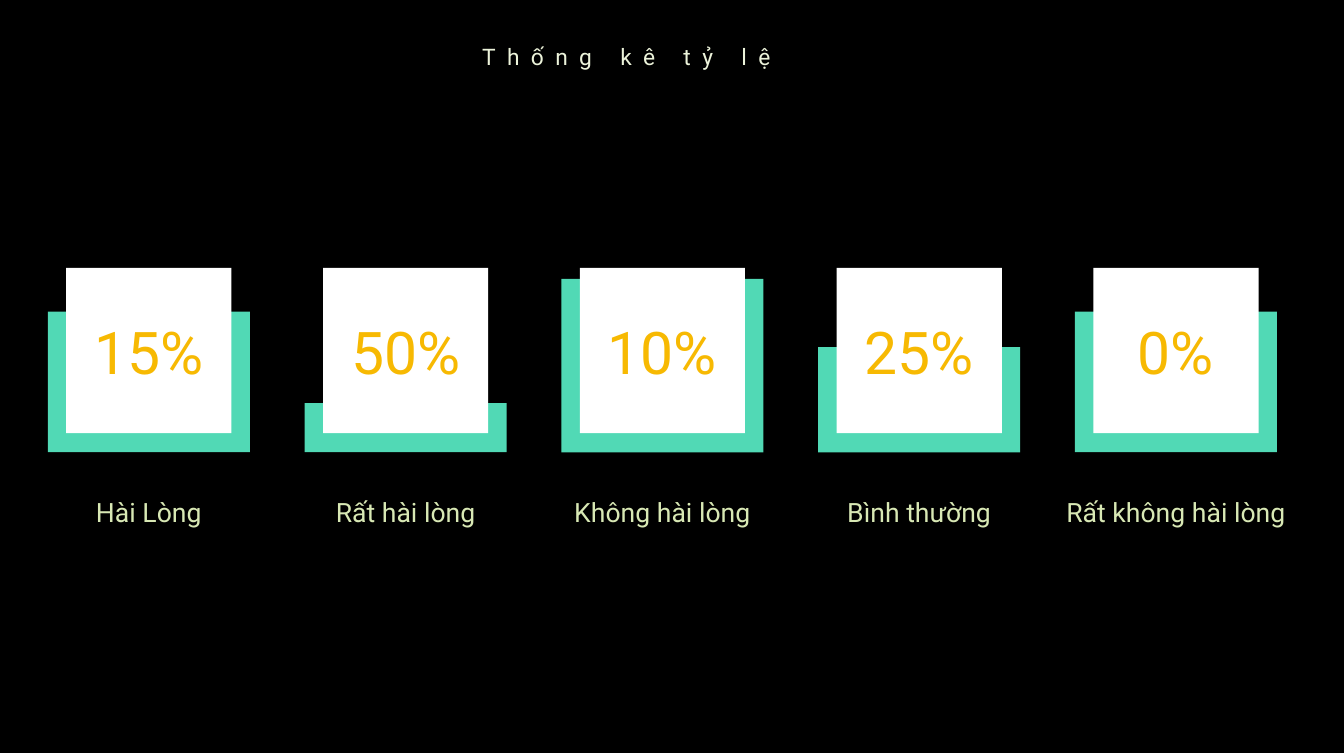
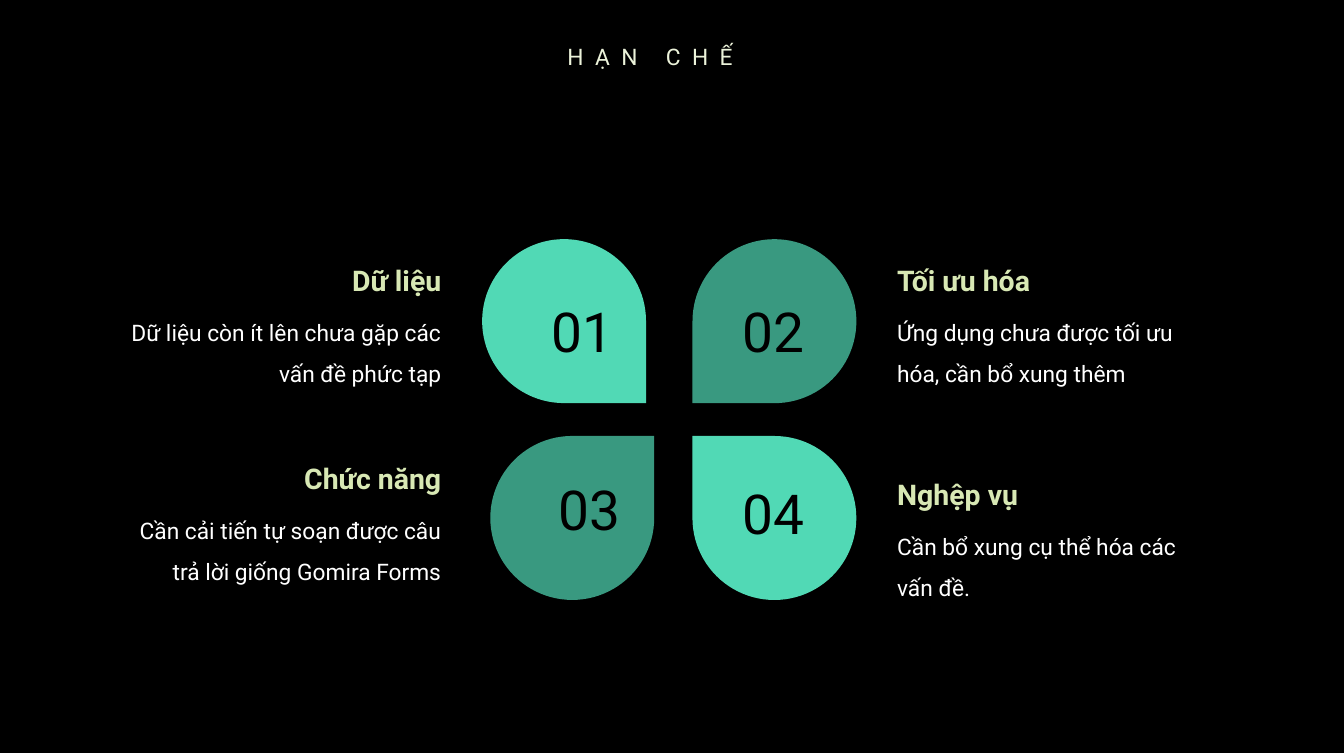
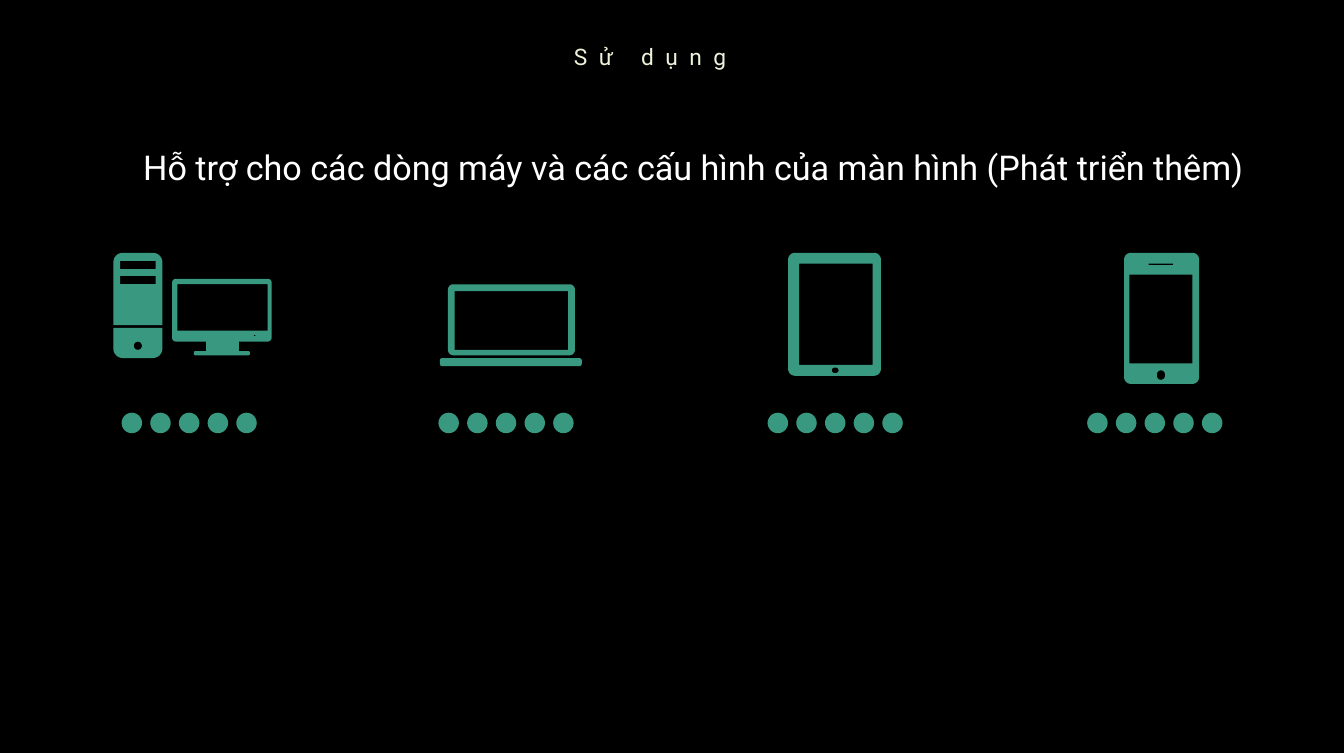
"""Builds three dark survey slides: ratios, limitations and supported devices."""
import math

from pptx import Presentation
from pptx.dml.color import RGBColor
from pptx.enum.shapes import MSO_SHAPE
from pptx.enum.text import MSO_ANCHOR, MSO_AUTO_SIZE, PP_ALIGN
from pptx.util import Inches, Pt

LEFT, CENTER, RIGHT = PP_ALIGN.LEFT, PP_ALIGN.CENTER, PP_ALIGN.RIGHT
TOP, NO_AUTOFIT = MSO_ANCHOR.TOP, MSO_AUTO_SIZE.NONE
RECTANGLE, OVAL, TEARDROP = MSO_SHAPE.RECTANGLE, MSO_SHAPE.OVAL, MSO_SHAPE.TEAR

FONT = "Roboto"
COLORS = {
    "background": "000000",
    "mint": "51D9B5",
    "green": "399980",
    "white": "FFFFFF",
    "amber": "F7B902",
    "lime": "D8E8B4",
    "title": "ECF3DA",
}
TITLE_BOX = (3.58, 0.16, 2.36, 0.37)
TITLE_ONLY = 5

RATINGS = [
    ("15%", "Hài Lòng", 1.03),
    ("50%", "Rất hài lòng", 0.36),
    ("10%", "Không hài lòng", 1.27),
    ("25%", "Bình thường", 0.77),
    ("0%", "Rất không hài lòng", 1.03),
]
CARD_LEFT, CARD_PITCH, CARD_WIDTH, CARD_BOTTOM = 0.35, 1.88, 1.48, 3.31
SQUARE = 1.21

PETAL = 1.2
PETALS = [
    ("01", "mint", 3.53, 1.75, 90, 3.94, 2.13),
    ("02", "green", 5.07, 1.75, 180, 5.34, 2.13),
    ("03", "green", 3.59, 3.19, 0, 3.99, 3.43),
    ("04", "mint", 5.07, 3.19, 270, 5.34, 3.46),
]
LIMITATIONS = [
    ("Dữ liệu", "Dữ liệu còn ít lên chưa gặp các vấn đề phức tạp", 0.84, 1.75, RIGHT),
    ("Tối ưu hóa", "Ứng dụng chưa được tối ưu hóa, cần bổ xung thêm", 6.47, 1.75, LEFT),
    ("Chức năng", "Cần cải tiến tự soạn được câu trả lời giống Gomira Forms", 0.84, 3.2, RIGHT),
    ("Nghệp vụ", "Cần bổ xung cụ thể hóa các vấn đề.", 6.47, 3.32, LEFT),
]

# Each outline: left, top, width, height, top corner radius, bottom corner radius.
DEVICE_PARTS = {
    "tower": [
        (0.83, 1.85, 0.36, 0.53, 0.07, 0),
        (0.88, 1.91, 0.26, 0.06, 0, 0),
        (0.88, 2.02, 0.26, 0.06, 0, 0),
    ],
    "tower base": [
        (0.83, 2.4, 0.36, 0.22, 0, 0.07),
        (0.98, 2.5, 0.06, 0.06, 0.03, 0.03),
    ],
    "monitor": [
        (1.26, 2.04, 0.73, 0.46, 0.03, 0.03),
        (1.3, 2.08, 0.66, 0.34, 0, 0),
        (1.86, 2.45, 0.01, 0.01, 0, 0),
        (1.51, 2.5, 0.24, 0.07, 0, 0),
        (1.42, 2.57, 0.41, 0.03, 0.01, 0.01),
    ],
    "laptop screen": [
        (3.28, 2.08, 0.93, 0.52, 0.04, 0.04),
        (3.33, 2.13, 0.83, 0.43, 0, 0),
    ],
    "laptop base": [(3.22, 2.62, 1.04, 0.06, 0.02, 0.02)],
    "tablet": [
        (5.77, 1.85, 0.68, 0.9, 0.05, 0.05),
        (5.85, 1.93, 0.54, 0.74, 0, 0),
        (6.09, 2.69, 0.05, 0.04, 0.02, 0.02),
    ],
    "phone": [
        (8.23, 1.85, 0.55, 0.96, 0.05, 0.05),
        (8.27, 2.01, 0.46, 0.65, 0, 0),
        (8.41, 1.93, 0.18, 0.01, 0, 0),
        (8.47, 2.71, 0.06, 0.07, 0.03, 0.03),
    ],
}
DOT_ROWS = [0.89, 3.21, 5.62, 7.96]
DOT, DOT_PITCH, DOTS_PER_ROW = 0.15, 0.21, 5


def rgb(color):
    """Return the palette colour of that name."""
    return RGBColor.from_string(COLORS[color])


def inches(*lengths):
    """Return the lengths as a list of Inches."""
    return [Inches(length) for length in lengths]


def write(frame, text, size, color, align=LEFT, spacing=1.0, bold=False):
    """Put one formatted paragraph in a text frame and return its run."""
    frame.text = text
    frame.vertical_anchor = TOP
    frame.auto_size = NO_AUTOFIT
    paragraph = frame.paragraphs[0]
    paragraph.alignment = align
    paragraph.line_spacing = spacing
    run = paragraph.runs[0]
    run.font.name = FONT
    run.font.size = Pt(size)
    run.font.bold = bold
    run.font.color.rgb = rgb(color)
    return run


def add_text(slide, box, text, size, color, margins=(0.1, 0.05), wrap=True, **style):
    """Add a text box with its horizontal and vertical margins."""
    frame = slide.shapes.add_textbox(*inches(*box)).text_frame
    frame.word_wrap = wrap
    frame.margin_left = frame.margin_right = Inches(margins[0])
    frame.margin_top = frame.margin_bottom = Inches(margins[1])
    write(frame, text, size, color, **style)


def paint(shape, color):
    """Give a shape a flat fill without line or shadow."""
    shape.shadow.inherit = False
    shape.fill.solid()
    shape.fill.fore_color.rgb = rgb(color)
    shape.line.fill.background()


def add_flat(slide, kind, box, color, rotation=0):
    """Add a flat preset shape."""
    shape = slide.shapes.add_shape(kind, *inches(*box))
    shape.rotation = rotation
    paint(shape, color)


def outline(left, top, width, height, top_radius, bottom_radius):
    """Return the points of a rectangle with rounded corners."""
    right, bottom = left + width, top + height
    corners = [
        (right - top_radius, top + top_radius, top_radius, 270),
        (right - bottom_radius, bottom - bottom_radius, bottom_radius, 0),
        (left + bottom_radius, bottom - bottom_radius, bottom_radius, 90),
        (left + top_radius, top + top_radius, top_radius, 180),
    ]
    points = []
    for x, y, radius, start in corners:
        for angle in range(start, start + 91, 15) if radius else [start]:
            turn = math.radians(angle)
            points.append(inches(x + radius * math.cos(turn), y + radius * math.sin(turn)))
    return points


def add_device_part(slide, outlines):
    """Add one freeform whose inner outlines are holes."""
    first, *others = [outline(*measures) for measures in outlines]
    builder = slide.shapes.build_freeform(*first[0], scale=1.0)
    builder.add_line_segments(first[1:], close=True)
    for points in others:
        builder.move_to(*points[0])
        builder.add_line_segments(points[1:], close=True)
    paint(builder.convert_to_shape(), "green")


def add_titled_slide(deck, title, box=TITLE_BOX, align=CENTER):
    """Add a slide with the widely spaced title."""
    slide = deck.slides.add_slide(deck.slide_layouts[TITLE_ONLY])
    heading = slide.shapes.title
    heading.left, heading.top, heading.width, heading.height = inches(*box)
    run = write(heading.text_frame, title, 12, "title", align, 1.5)
    run._r.get_or_add_rPr().set("spc", "600")
    return slide


def add_rating(slide, left, percent, label, level):
    """Add one rating card with its level, percentage and label."""
    center = left + CARD_WIDTH / 2
    add_flat(slide, RECTANGLE, (left, CARD_BOTTOM - level, CARD_WIDTH, level), "mint")
    add_flat(slide, RECTANGLE, (center - SQUARE / 2, 1.96, SQUARE, SQUARE), "white")
    add_text(slide, (center - SQUARE / 2, 2.31, SQUARE, 0.53), percent, 31, "amber",
             margins=(0, 0), align=CENTER)
    add_text(slide, (center - CARD_PITCH / 2, 3.59, CARD_PITCH, 0.55), label, 14, "lime",
             margins=(0.08, 0.04), align=CENTER)


def add_limitation(slide, heading, detail, left, top, align):
    """Add a heading with its explanation below."""
    width = 2.49
    add_text(slide, (left, top, width, 0.43), heading, 15, "lime",
             align=align, spacing=1.5, bold=True)
    add_text(slide, (left, top + 0.43, width, 0.67), detail, 12, "white",
             align=align, spacing=1.5)


def build_ratings(deck):
    """Build the slide of satisfaction ratios."""
    slide = add_titled_slide(deck, "Thống kê tỷ lệ", (3.43, 0.16, 2.52, 0.37), LEFT)
    for index, rating in enumerate(RATINGS):
        add_rating(slide, CARD_LEFT + index * CARD_PITCH, *rating)


def build_limitations(deck):
    """Build the slide of four limitations around the petals."""
    slide = add_titled_slide(deck, "HẠN CHẾ")
    for number, color, left, top, rotation, number_left, number_top in PETALS:
        add_flat(slide, TEARDROP, (left, top, PETAL, PETAL), color, rotation)
        add_text(slide, (number_left, number_top, 0.65, 0.59), number, 29, "background",
                 wrap=False)
    for limitation in LIMITATIONS:
        add_limitation(slide, *limitation)


def build_devices(deck):
    """Build the slide of supported devices."""
    slide = add_titled_slide(deck, "Sử dụng")
    add_text(slide, (0.56, 1.02, 9.04, 0.6),
             "Hỗ trợ cho các dòng máy và các cấu hình của màn hình (Phát triển thêm)",
             18, "white", align=CENTER)
    for outlines in DEVICE_PARTS.values():
        add_device_part(slide, outlines)
    for row_left in DOT_ROWS:
        for index in range(DOTS_PER_ROW):
            add_flat(slide, OVAL, (row_left + index * DOT_PITCH, 3.02, DOT, DOT), "green")


def main():
    """Build and save the deck."""
    deck = Presentation()
    deck.slide_width, deck.slide_height = inches(9.84, 5.51)
    backdrop = deck.slide_master.background.fill
    backdrop.solid()
    backdrop.fore_color.rgb = rgb("background")
    build_ratings(deck)
    build_limitations(deck)
    build_devices(deck)
    deck.save("out.pptx")


if __name__ == "__main__":
    main()
